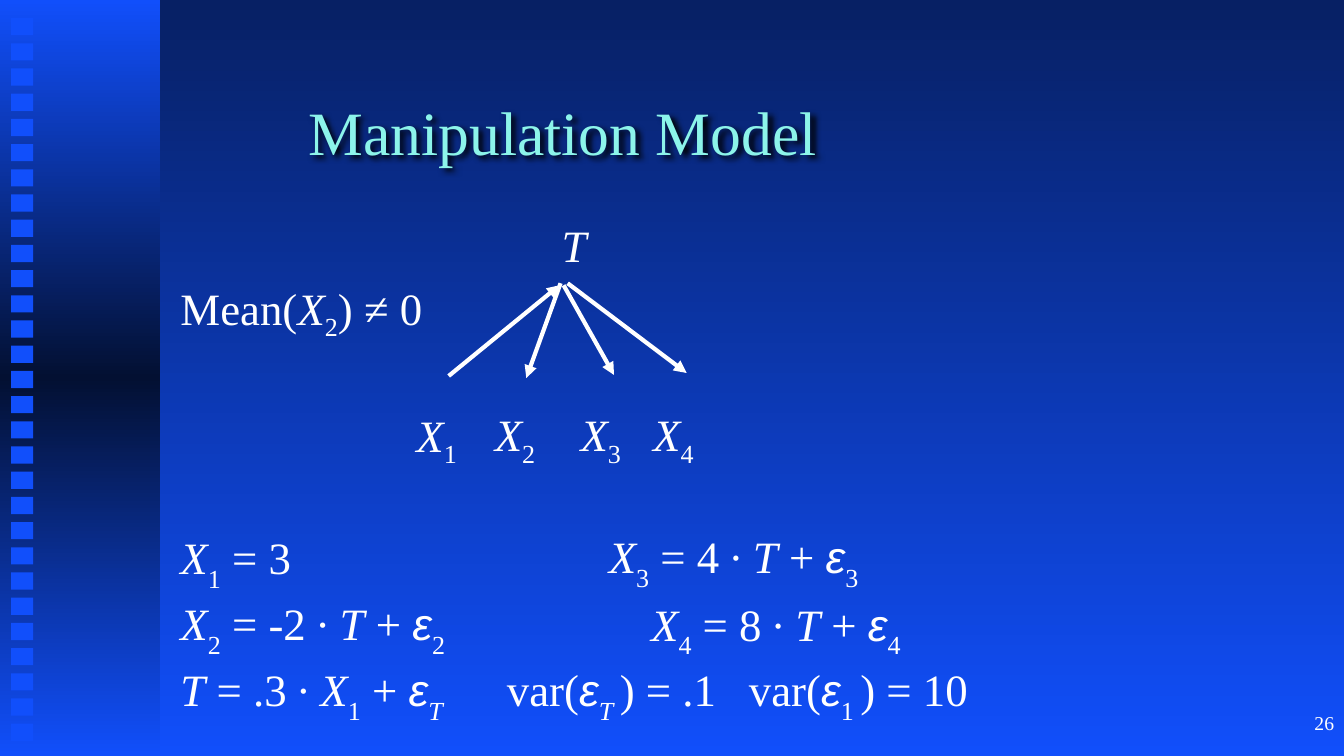
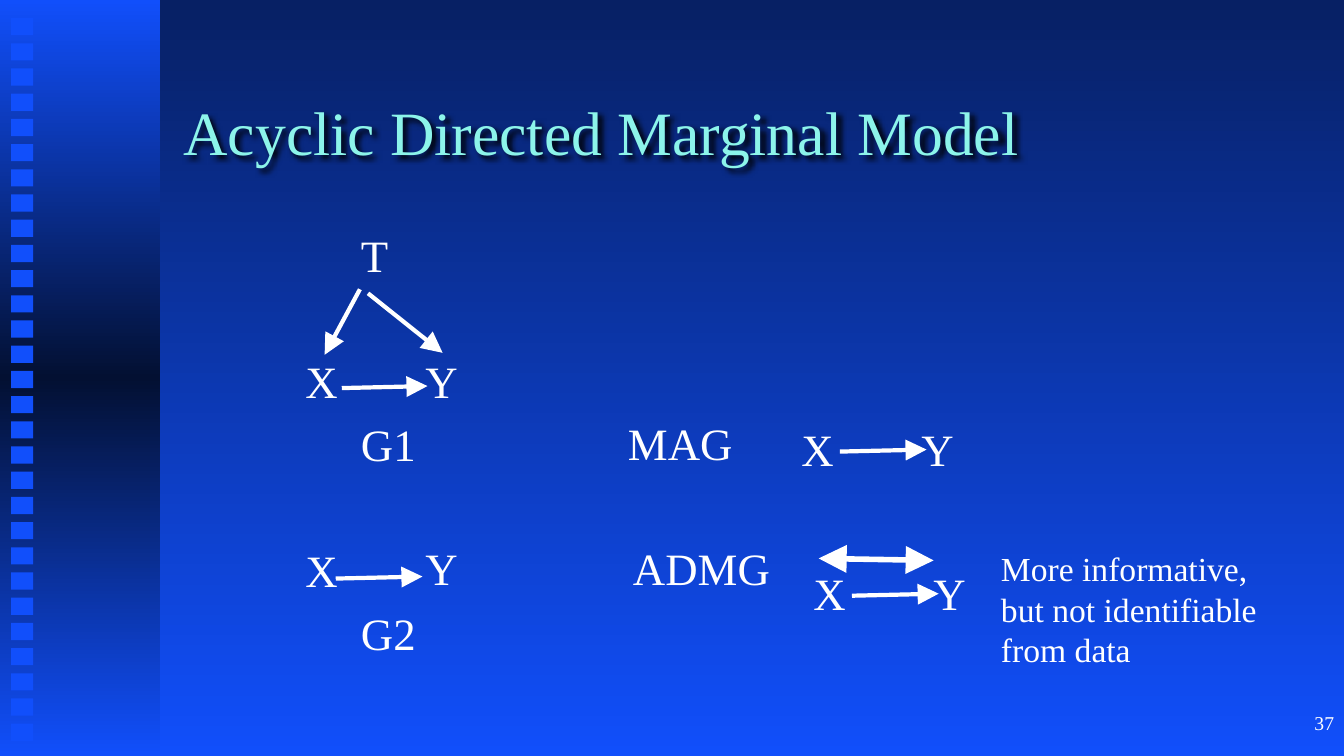
import copy
import itertools
from dataclasses import dataclass

import pptx
import pptx.dml.color
import pptx.enum.shapes
import pptx.enum.text
import pptx.oxml
import pptx.oxml.ns
import pptx.util

In = pptx.util.Inches
Pt = pptx.util.Pt
NS = pptx.oxml.ns.nsdecls("a")


@dataclass(frozen=True)
class Theme:
    """Colours, fonts and type sizes of the deck."""
    night: str = "072064"
    blue: str = "114FFB"
    deep: str = "031032"
    title: str = "8CF4EA"
    text: str = "FFFFFF"
    font: str = "Times New Roman"
    greek: str = "Arial"
    title_size: float = 44
    body_size: float = 32
    note_size: float = 24
    number_size: float = 14
    row_gap: float = 6.4


T = Theme()
W, H = 13.33, 7.5
INSET = 0.1
PAIR_STEP = 1.19


def rgb(value):
    """Turn a hex string into a colour."""
    return pptx.dml.color.RGBColor.from_string(value)


def style(r, size, color=T.text, font=T.font):
    """Set the face, size and colour of a run."""
    r.font.name = font
    r.font.size = Pt(size)
    r.font.color.rgb = rgb(color)


def add_rect(s, left, top, width, height):
    """Add a plain rectangle without outline."""
    sp = s.shapes.add_shape(pptx.enum.shapes.MSO_SHAPE.RECTANGLE,
                            In(left), In(top), In(width), In(height))
    sp.shadow.inherit = False
    sp.line.fill.background()
    return sp


def fill_down(fill, start, end):
    """Fill from top to bottom between two colours."""
    fill.gradient()
    fill.gradient_angle = 270
    for stop, color, position in zip(fill.gradient_stops, (start, end), (0, 1)):
        stop.color.rgb = rgb(color)
        stop.position = position


def build_master(prs, s):
    """Put the background, band and column of squares on the master."""
    master = prs.slide_master
    fill_down(master.background.fill, T.night, T.blue)
    band = add_rect(s, 0, 0, 1.59, 7.49)
    fill_down(band.fill, T.blue, T.blue)
    stops = band.element.spPr.find(".//" + pptx.oxml.ns.qn("a:gsLst"))
    middle = copy.deepcopy(stops[0])
    middle.set("pos", "50000")
    middle[0].set("val", T.deep)
    stops.insert(1, middle)
    parts = [band]
    for row in range(29):
        square = add_rect(s, 0.11, 0.18 + 0.25 * row, 0.22, 0.17)
        square.fill.solid()
        square.fill.fore_color.rgb = rgb(T.blue)
        parts.append(square)
    for i, sp in enumerate(parts):
        master.element.cSld.spTree.insert(2 + i, sp.element)


def place(sp, left, top, width, height):
    """Move a shape to a box in inches."""
    sp.left, sp.top, sp.width, sp.height = map(In, (left, top, width, height))


def add_title(s, text, box):
    """Fill the title placeholder and give it a soft shadow."""
    sp = s.shapes.title
    place(sp, *box)
    tf = sp.text_frame
    tf.text = text
    tf.vertical_anchor = pptx.enum.text.MSO_ANCHOR.MIDDLE
    tf.auto_size = pptx.enum.text.MSO_AUTO_SIZE.NONE
    p = tf.paragraphs[0]
    p.alignment = pptx.enum.text.PP_ALIGN.LEFT
    style(p.runs[0], T.title_size, T.title)
    sp.element.spPr.append(pptx.oxml.parse_xml(
        f'<a:effectLst {NS}><a:outerShdw blurRad="50800" dist="38100" dir="2700000">'
        '<a:srgbClr val="000000"/></a:outerShdw></a:effectLst>'))


def set_indent(p, indent):
    """Remove the bullet and set the left margin in inches."""
    pPr = p._p.get_or_add_pPr()
    pPr.set("marL", str(int(In(indent))))
    pPr.set("indent", "0")
    pPr.append(pptx.oxml.parse_xml(f"<a:buNone {NS}/>"))


def mark(text, italics):
    """Yield each character with its italic, Greek and subscript flags."""
    sub = False
    for ch in text:
        if ch == "_":
            sub = True
            continue
        yield ch, (ch in italics, ch == "ε", sub)
        sub = False


def write_row(p, text, italics="", drop=30):
    """Write a row in which an underscore lowers the next character."""
    for flags, group in itertools.groupby(mark(text, italics), key=lambda m: m[1]):
        italic, greek, sub = flags
        r = p.add_run()
        r.text = "".join(ch for ch, _ in group)
        style(r, T.body_size, font=T.greek if greek else T.font)
        r.font.italic = italic
        if sub:
            r.font._element.set("baseline", str(-1000 * drop))


def add_body(s, box, rows, italics="", spacing=1.0):
    """Fill the body placeholder with rows of text, gap, indent and drop."""
    sp = s.placeholders[1]
    place(sp, *box)
    tf = sp.text_frame
    tf.auto_size = pptx.enum.text.MSO_AUTO_SIZE.NONE
    for i, (text, gap, indent, drop) in enumerate(rows):
        p = tf.add_paragraph() if i else tf.paragraphs[0]
        set_indent(p, indent)
        p.line_spacing = spacing
        p.space_before = Pt(gap)
        write_row(p, text, italics, drop)


def add_label(s, left, top, text, italics="", drop=30):
    """Add an unwrapped label whose text starts at the given left edge."""
    tf = s.shapes.add_textbox(In(left - INSET), In(top), In(2.7), In(0.64)).text_frame
    tf.word_wrap = False
    write_row(tf.paragraphs[0], text, italics, drop)


def add_text(s, box, text, size):
    """Add a wrapped text box."""
    tf = s.shapes.add_textbox(*map(In, box)).text_frame
    tf.word_wrap = True
    tf.text = text
    p = tf.paragraphs[0]
    style(p.runs[0], size)
    return p


def add_number(s, number):
    """Add the slide number in the lower right corner."""
    p = add_text(s, (W - 2.78, 7, 2.78, 0.5), number, T.number_size)
    p.alignment = pptx.enum.text.PP_ALIGN.RIGHT


def add_arrow(s, start, end, head="lg", width=3, both=False):
    """Draw an arrow between two points."""
    cx = s.shapes.add_connector(pptx.enum.shapes.MSO_CONNECTOR.STRAIGHT,
                                *map(In, (*start, *end)))
    cx.line.color.rgb = rgb(T.text)
    cx.line.width = Pt(width)
    ln = cx.line._get_or_add_ln()
    for tag in ("headEnd", "tailEnd") if both else ("tailEnd",):
        ln.append(pptx.oxml.parse_xml(
            f'<a:{tag} {NS} type="triangle" w="{head}" len="{head}"/>'))
    cx.element.spPr.append(pptx.oxml.parse_xml(f"<a:effectLst {NS}/>"))


def add_pair(s, left, top):
    """Add X with an arrow to Y."""
    add_arrow(s, (left + 0.38, top + 0.35), (left + 1.24, top + 0.33))
    add_label(s, left, top, "X")
    add_label(s, left + PAIR_STEP, top, "Y")


def build_manipulation(s):
    """Build the slide with the manipulated latent model."""
    italics = "XTε"
    add_body(s, (1.69, 2.17, 11.36, 4.5), [
        ("T", 0, 3.78, 25),
        ("Mean(X_2) ≠ 0", T.row_gap, 0, 25),
        ("X_1", 51.6, 2.34, 25),
        ("X_1 = 3", 47.5, 0, 30),
        ("X_2 = -2 ∙ T + ε_2", T.row_gap, 0, 30),
        ("T = .3 ∙ X_1 + ε_T", T.row_gap, 0, 30),
    ], italics, spacing=0.9)
    for left, text in ((4.91, "X_2"), (5.76, "X_3"), (6.48, "X_4")):
        add_label(s, left, 3.99, text, italics, 25)
    for left, top, text in ((6.04, 5.2, "X_3 = 4 ∙ T + ε_3"),
                            (6.46, 5.87, "X_4 = 8 ∙ T + ε_4"),
                            (5.03, 6.52, "var(ε_T_ ) = .1"),
                            (7.43, 6.52, "var(ε_1_ ) = 10")):
        add_label(s, left, top, text, italics)
    for start, end in (((4.45, 3.73), (5.55, 2.83)), ((5.56, 2.81), (5.22, 3.75)),
                       ((5.59, 2.83), (6.09, 3.72)), ((5.63, 2.81), (6.81, 3.7))):
        add_arrow(s, start, end, head="med")
    add_title(s, "Manipulation Model", (2.96, 0.67, 5.5, 1.25))
    add_number(s, "26")


def build_marginal(s):
    """Build the slide comparing graphs with their marginal models."""
    add_title(s, "Acyclic Directed Marginal Model", (1.72, 0.67, 11.25, 1.25))
    skip = 51.7
    add_body(s, (2.93, 2.21, 10.3, 4.5), [
        ("T", 0, 0.55, 0),
        ("X", skip, 0, 0),
        ("G1", T.row_gap, 0.55, 0),
        ("X", skip, 0, 0),
        ("G2", T.row_gap, 0.55, 0),
    ])
    for left, top, text in ((3.03 + PAIR_STEP, 3.46, "Y"), (6.23, 4.08, "MAG"),
                            (3.03 + PAIR_STEP, 5.32, "Y"), (6.28, 5.32, "ADMG")):
        add_label(s, left, top, text)
    for start, end in (((3.57, 2.87), (3.22, 3.52)), ((3.65, 2.91), (4.39, 3.5)),
                       ((3.39, 3.85), (4.24, 3.83)), ((3.33, 5.74), (4.19, 5.72))):
        add_arrow(s, start, end)
    add_pair(s, 7.95, 4.13)
    add_pair(s, 8.07, 5.56)
    add_arrow(s, (8.12, 5.54), (9.26, 5.56), width=4, both=True)
    add_text(s, (9.83, 5.39, 2.94, 1.31),
             "More informative, but not identifiable from data", T.note_size)
    add_number(s, "37")


def main():
    """Build and save the deck."""
    prs = pptx.Presentation()
    prs.slide_width, prs.slide_height = In(W), In(H)
    slides = [prs.slides.add_slide(prs.slide_layouts[1]) for _ in range(2)]
    build_master(prs, slides[0])
    for build, s in zip((build_manipulation, build_marginal), slides):
        build(s)
    prs.save("out.pptx")


if __name__ == "__main__":
    main()
